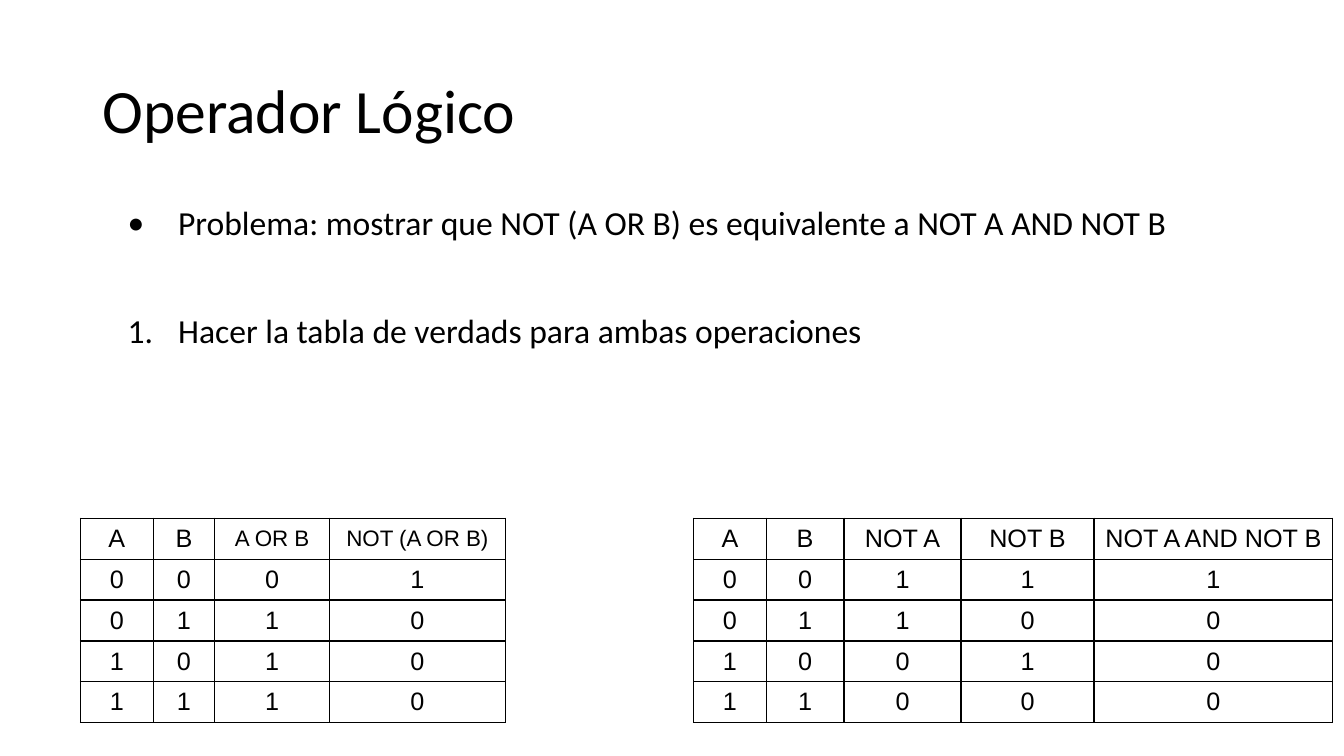
"""Build a slide comparing the truth tables of two equivalent logical operations."""
from dataclasses import dataclass
from itertools import product
from typing import Callable

from lxml.etree import SubElement
from pptx import Presentation
from pptx.dml.color import RGBColor as Rgb
from pptx.enum.text import MSO_ANCHOR as Anchor, PP_ALIGN as Align
from pptx.oxml.ns import qn
from pptx.slide import Slide
from pptx.table import _Cell as Cell
from pptx.text.text import TextFrame, _Paragraph as Paragraph
from pptx.util import Cm, Pt

COLORS = {"ink": "000000", "paper": "FFFFFF"}
ROW_HEIGHT = 1.03
TABLE_TOP = 13.06


@dataclass(frozen=True)
class Column:
    heading: str
    width: float
    value: Callable[[int, int], int]
    heading_size: int = 18


@dataclass(frozen=True)
class TruthTable:
    left: float
    columns: tuple[Column, ...]


@dataclass(frozen=True)
class Point:
    text: str
    marker_tag: str
    marker: dict[str, str]
    space_before: float


TRUTH_TABLES = (
    TruthTable(17.48, (
        Column("A", 1.83, lambda a, b: a),
        Column("B", 1.96, lambda a, b: b),
        Column("NOT A", 2.95, lambda a, b: 1 - a),
        Column("NOT B", 3.35, lambda a, b: 1 - b),
        Column("NOT A AND NOT B", 6.02, lambda a, b: (1 - a) & (1 - b)),
    )),
    TruthTable(2.03, (
        Column("A", 1.83, lambda a, b: a),
        Column("B", 1.55, lambda a, b: b),
        Column("A OR B", 2.9, lambda a, b: a | b, 16),
        Column("NOT (A OR B)", 4.42, lambda a, b: 1 - (a | b), 16),
    )),
)

POINTS = (
    Point("Problema: mostrar que NOT (A OR B) es equivalente a NOT A AND NOT B",
          "a:buChar", {"char": "•"}, 0),
    Point("Hacer la tabla de verdads para ambas operaciones",
          "a:buAutoNum", {"type": "arabicPeriod"}, 51.5),
)


def format_runs(paragraph: Paragraph, font_name: str, size: float) -> None:
    """Apply font, size and ink colour to every run."""
    for run in paragraph.runs:
        run.font.name = font_name
        run.font.size = Pt(size)
        run.font.color.rgb = Rgb.from_string(COLORS["ink"])


def add_text_area(slide: Slide, top: float, height: float, anchor: Anchor) -> TextFrame:
    """Add a wrapping text box across the slide's text width."""
    frame = slide.shapes.add_textbox(Cm(2.33), Cm(top), Cm(29.21), Cm(height)).text_frame
    frame.word_wrap = True
    frame.vertical_anchor = anchor
    return frame


def add_title(slide: Slide, text: str) -> None:
    """Add the slide heading."""
    frame = add_text_area(slide, 1.01, 3.68, Anchor.MIDDLE)
    frame.text = text
    heading = frame.paragraphs[0]
    heading.line_spacing = 0.9
    format_runs(heading, "Calibri", 44)


def add_points(slide: Slide, points: tuple[Point, ...]) -> None:
    """Add the problem statement and its numbered step."""
    frame = add_text_area(slide, 5.08, 12.95, Anchor.TOP)
    for index, point in enumerate(points):
        line = frame.add_paragraph() if index else frame.paragraphs[0]
        line.text = point.text
        line.line_spacing = 0.9
        line.space_before = Pt(point.space_before)
        properties = line._p.get_or_add_pPr()
        properties.set("marL", str(Cm(1.91)))
        properties.set("indent", str(Cm(-1.27)))
        SubElement(properties, qn("a:buFont"), typeface="Calibri")
        SubElement(properties, qn(point.marker_tag), point.marker)
        format_runs(line, "Calibri", 24)


def add_borders(cell: Cell) -> None:
    """Draw a thin ink line on all four sides of a cell."""
    properties = cell._tc.get_or_add_tcPr()
    for side in ("a:lnL", "a:lnR", "a:lnT", "a:lnB"):
        border = SubElement(properties, qn(side), w=str(Pt(1)))
        fill = SubElement(border, qn("a:solidFill"))
        SubElement(fill, qn("a:srgbClr"), val=COLORS["ink"])


def fill_cell(cell: Cell, text: str, size: int, is_result: bool) -> None:
    """Write a centred value and give the result column its fill."""
    cell.text = text
    cell.vertical_anchor = Anchor.MIDDLE
    cell.margin_left = cell.margin_right = Cm(0.2)
    value = cell.text_frame.paragraphs[0]
    value.alignment = Align.CENTER
    format_runs(value, "Arial", size)
    add_borders(cell)
    if is_result:
        cell.fill.solid()
        cell.fill.fore_color.rgb = Rgb.from_string(COLORS["paper"])
    else:
        cell.fill.background()


def add_truth_table(slide: Slide, truth: TruthTable) -> None:
    """Add a table with one row per combination of A and B."""
    cases = list(product((0, 1), repeat=2))
    row_count = len(cases) + 1
    width = sum(column.width for column in truth.columns)
    grid = slide.shapes.add_table(
        row_count, len(truth.columns), Cm(truth.left), Cm(TABLE_TOP),
        Cm(width), Cm(ROW_HEIGHT * row_count)).table
    grid.first_row = grid.horz_banding = False
    for row in grid.rows:
        row.height = Cm(ROW_HEIGHT)
    for index, column in enumerate(truth.columns):
        grid.columns[index].width = Cm(column.width)
        is_result = column is truth.columns[-1]
        fill_cell(grid.cell(0, index), column.heading, column.heading_size, is_result)
        for row_index, (a, b) in enumerate(cases, start=1):
            fill_cell(grid.cell(row_index, index), str(column.value(a, b)), 18, is_result)


def main() -> None:
    """Create the presentation and save it."""
    deck = Presentation()
    deck.slide_width, deck.slide_height = Cm(33.87), Cm(19.05)
    slide = deck.slides.add_slide(deck.slide_layouts[6])
    slide.background.fill.solid()
    slide.background.fill.fore_color.rgb = Rgb.from_string(COLORS["paper"])
    add_title(slide, "Operador Lógico")
    add_points(slide, POINTS)
    for truth in TRUTH_TABLES:
        add_truth_table(slide, truth)
    deck.save("out.pptx")


if __name__ == "__main__":
    main()
